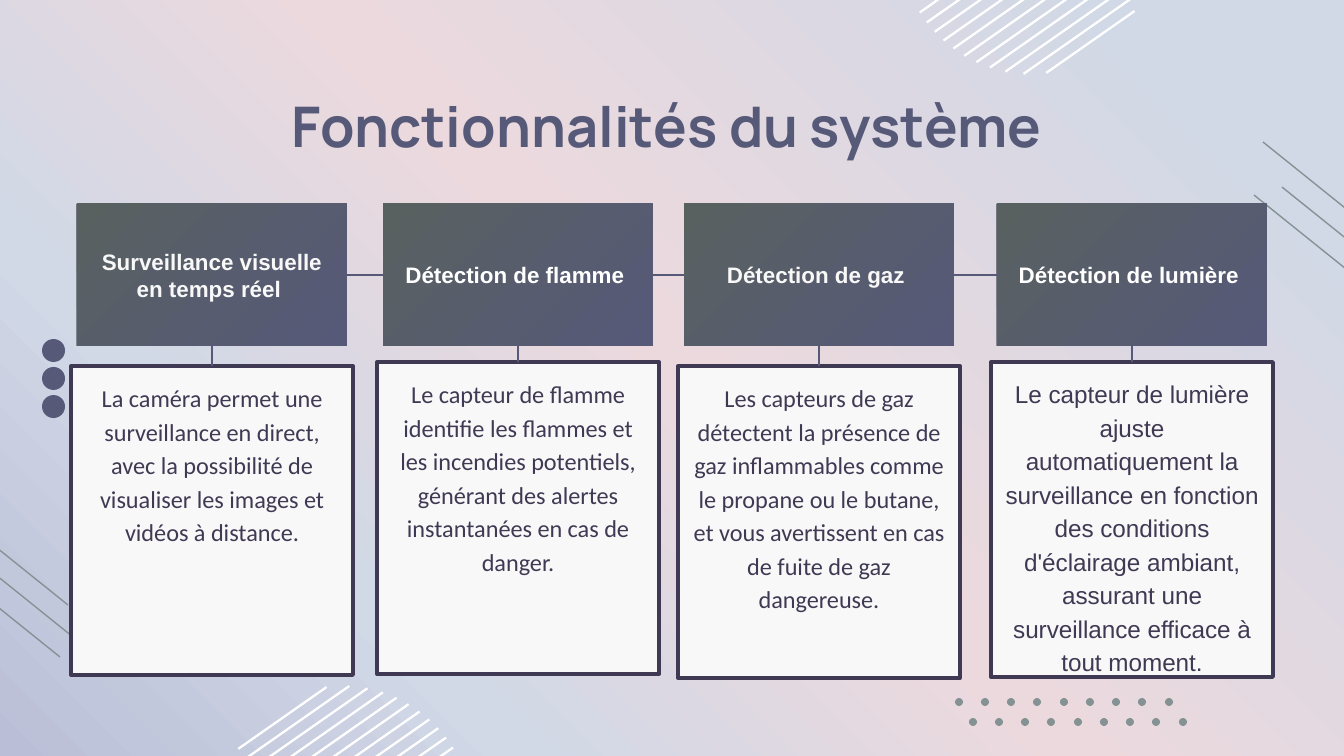
"""Build the slide on the four functions of the monitoring system."""
from math import hypot, sqrt
from typing import NamedTuple

from lxml import etree
from pptx import Presentation
from pptx.dml.color import RGBColor
from pptx.enum.shapes import MSO_CONNECTOR, MSO_SHAPE
from pptx.enum.text import MSO_ANCHOR, PP_ALIGN
from pptx.oxml.ns import qn
from pptx.util import Pt

PX = 6804
RECT, OVAL = MSO_SHAPE.RECTANGLE, MSO_SHAPE.OVAL
LINE = MSO_CONNECTOR.STRAIGHT
TOP, MIDDLE = MSO_ANCHOR.TOP, MSO_ANCHOR.MIDDLE
CENTER = PP_ALIGN.CENTER

WHITE = RGBColor(0xFF, 0xFF, 0xFF)
PALE = RGBColor(0xF8, 0xF8, 0xF8)
PLUM = RGBColor(0x40, 0x39, 0x53)
INDIGO = RGBColor(0x57, 0x59, 0x79)
OLIVE = RGBColor(0x58, 0x61, 0x60)
SAGE = RGBColor(0x85, 0x92, 0x94)
SKY = RGBColor(0xD1, 0xD8, 0xE6)
ROSE = RGBColor(0xEC, 0xD9, 0xDD)
LILAC = RGBColor(0xBA, 0xBF, 0xD7)


class Box(NamedTuple):
    left: int
    top: int
    width: int
    height: int


class Type(NamedTuple):
    font: str
    size: int
    ink: RGBColor
    bold: bool = False


class Card(NamedTuple):
    left: int
    top: int
    height: int
    head: str
    ink: RGBColor
    body: str
    font: str


class Hatch(NamedTuple):
    x: int
    y: int
    first: float


CARDS = [
    Card(71, 366, 309, "Surveillance visuelle en temps réel ", PALE,
         "La caméra permet une surveillance en direct, avec la possibilité "
         "de visualiser les images et vidéos à distance.", "Calibri"),
    Card(377, 362, 312, "Détection de flamme ", WHITE,
         "Le capteur de flamme identifie les flammes et les incendies "
         "potentiels, générant des alertes instantanées en cas de danger.",
         "Calibri"),
    Card(678, 366, 312, "Détection de gaz ", PALE,
         "Les capteurs de gaz détectent la présence de gaz inflammables "
         "comme le propane ou le butane, et vous avertissent en cas de "
         "fuite de gaz dangereuse.", "Calibri"),
    Card(991, 362, 315, "Détection de lumière ", WHITE,
         "Le capteur de lumière ajuste automatiquement la surveillance en "
         "fonction des conditions d'éclairage ambiant, assurant une "
         "surveillance efficace à tout moment.", "Arial"),
]
HATCHES = [Hatch(349, 813, -9.5), Hatch(1024, -53, -0.5)]
SLANTS = [(-19, 563), (-47, 571), (-39, 519),
          (1282, 187), (1254, 195), (1263, 142)]


def scale(box: Box) -> list[int]:
    """Turn a box in px into EMU."""
    return [side * PX for side in box]


def blend(fill, root, stops: list, angle: int) -> None:
    """Give a fill a linear gradient with the given stops."""
    fill.gradient()
    fill.gradient_angle = angle
    group = next(root.iter(qn("a:gsLst")))
    for old in list(group):
        group.remove(old)
    for place, color in stops:
        stop = etree.SubElement(group, qn("a:gs"), pos=str(place * 1000))
        etree.SubElement(stop, qn("a:srgbClr"), val=str(color))


def write(shape, text: str, kind: Type, anchor=TOP, space: float = 1.0) -> None:
    """Write one centred paragraph in a shape."""
    frame = shape.text_frame
    frame.word_wrap = True
    frame.vertical_anchor = anchor
    frame.margin_left = frame.margin_right = 13 * PX
    frame.margin_top = frame.margin_bottom = 13 * PX
    para = frame.paragraphs[0]
    para.alignment = CENTER
    para.line_spacing = space
    run = para.add_run()
    run.text = text
    run.font.name, run.font.size = kind.font, Pt(kind.size)
    run.font.bold = kind.bold
    run.font.color.rgb = kind.ink


def paint(shape, color: RGBColor) -> None:
    """Fill a shape plainly, with no line or shadow."""
    shape.shadow.inherit = False
    shape.fill.solid()
    shape.fill.fore_color.rgb = color
    shape.line.fill.background()


def dot(slide, x: int, y: int, size: int, color: RGBColor) -> None:
    """Draw a round dot."""
    paint(slide.shapes.add_shape(OVAL, *scale(Box(x, y, size, size))), color)


def link(slide, start: tuple, end: tuple, color: RGBColor):
    """Draw a thin straight line."""
    ends = [value * PX for value in (*start, *end)]
    line = slide.shapes.add_connector(LINE, *ends)
    line.line.color.rgb = color
    line.line.width = Pt(0.75)
    etree.SubElement(line._element.spPr, qn("a:effectLst"))
    return line


def join(slide, one, side: int, two, other: int) -> None:
    """Join the sides of two rectangles with a line."""
    line = link(slide, (0, 0), (1, 1), INDIGO)
    line.begin_connect(one, side)
    line.end_connect(two, other)


def hatch(slide, disc: Hatch) -> None:
    """Draw eleven slanted stripes cut to a disc."""
    dx, dy = 7, 10
    step = hypot(dx, dy)
    for i in range(11):
        rank = disc.first + i
        reach = 123 * sqrt(1 - (rank * step / 129) ** 2) / step
        half = 1.15 / step
        corners = [(reach, -half), (-reach, -half), (-reach, half), (reach, half)]
        points = [(round((disc.x + (rank + b) * dx + a * dy) * PX),
                   round((disc.y + (rank + b) * dy - a * dx) * PX))
                  for a, b in corners]
        pen = slide.shapes.build_freeform(*points[0])
        pen.add_line_segments(points[1:], close=True)
        paint(pen.convert_to_shape(), WHITE)


def panel(slide, card: Card):
    """Draw a card with its header and return the header."""
    body = slide.shapes.add_shape(
        RECT, *scale(Box(card.left, card.top, 282, card.height)))
    paint(body, PALE)
    body.line.color.rgb = PLUM
    body.line.width = Pt(2)
    write(body, card.body, Type(card.font, 13, PLUM), space=1.15)
    head = slide.shapes.add_shape(RECT, *scale(Box(card.left + 6, 204, 270, 142)))
    paint(head, INDIGO)
    blend(head.fill, head._element, [(0, INDIGO), (100, OLIVE)], 135)
    write(head, card.head, Type("Arial", 12, card.ink, True), MIDDLE)
    join(slide, head, 2, body, 0)
    return head


def main() -> None:
    """Build and save the deck."""
    deck = Presentation()
    deck.slide_width, deck.slide_height = 1344 * PX, 756 * PX
    slide = deck.slides.add_slide(deck.slide_layouts[6])
    blend(slide.background.fill, slide._element,
          [(0, SKY), (11, SKY), (49, ROSE), (75, SKY), (100, LILAC)], 225)
    for disc in HATCHES:
        hatch(slide, disc)
    for i in range(3):
        dot(slide, 42, 339 + 28 * i, 23, INDIGO)
    for x, y in SLANTS:
        link(slide, (x, y), (x + 107, y + 86), SAGE)
    for x, y in [(955, 698), (969, 718)]:
        for i in range(9):
            dot(slide, x + i * 210 // 8, y, 8, SAGE)
    title = slide.shapes.add_textbox(*scale(Box(106, 79, 1133, 70)))
    write(title, "Fonctionnalités du système ", Type("Manrope", 30, INDIGO, True))
    heads = [panel(slide, card) for card in CARDS]
    for one, two in zip(heads, heads[1:]):
        join(slide, one, 3, two, 1)
    deck.save("out.pptx")


if __name__ == "__main__":
    main()
